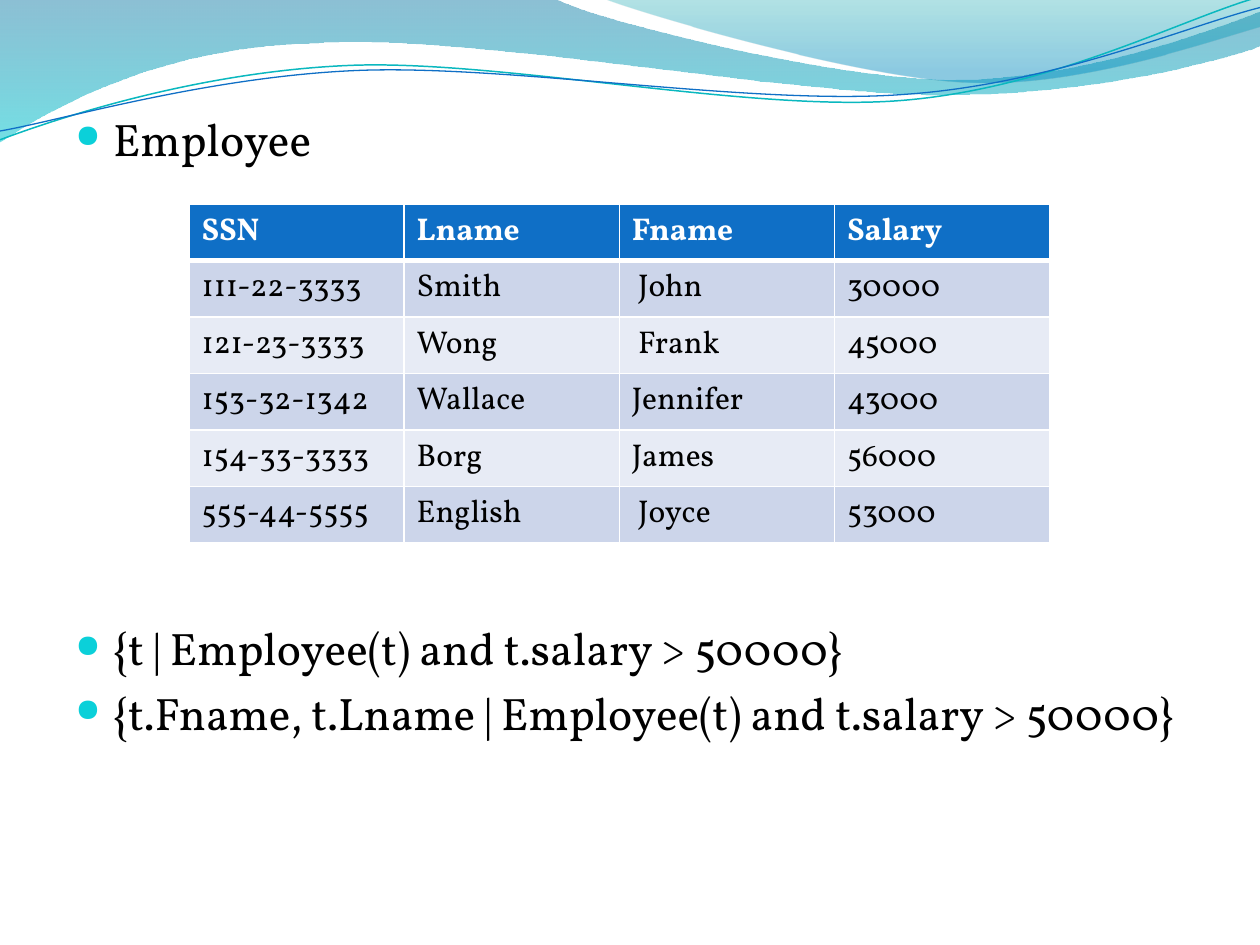
import pptx
import pptx.util
import pptx.dml.color
import pptx.oxml
import pptx.oxml.ns
import lxml.etree

Inches = pptx.util.Inches
Pt = pptx.util.Pt
qn = pptx.oxml.ns.qn

FONT = "Vollkorn"
COLORS = {
    "text": "000000", "white": "FFFFFF", "bullet": "0BD0D9",
    "header": "0F6FC6", "odd": "CCD5EA", "even": "E7EBF5",
    "teal_line": "0AB8BF", "blue_line": "0F6FC6",
    "wave_top": "0074A1", "wave_bottom": "00C6CF",
    "crest_top": "00A1A9", "crest_bottom": "008BBF",
}
WAVE = [
    (0, 0), [(4.4, -0.01)],
    [(4.76, 0.17), (6.64, 0.63), (7.58, 0.63)],
    [(8.53, 0.63), (9.58, 0.26), (10, 0.09)],
    [(10.01, 0.36)],
    [(9.83, 0.44), (8.7, 0.76), (7.46, 0.75)],
    [(6.22, 0.75), (3.82, 0.28), (2.57, 0.34)],
    [(1.29, 0.36), (0.46, 0.83), (-0.01, 1.13)],
]
CREST = [
    (4.79, -0.01),
    [(5.09, 0.11), (6.82, 0.62), (7.69, 0.65)],
    [(8.56, 0.69), (9.61, 0.32), (10, 0.21)],
    [(10, 0)],
]
TEAL_LINE = [
    (0, 1.11),
    [(0.48, 0.93), (1.58, 0.57), (2.77, 0.52)],
    [(3.95, 0.47), (5.93, 0.89), (7.13, 0.8)],
    [(8.33, 0.71), (9.38, 0.15), (9.98, -0.02)],
]
BLUE_LINE = [
    (0, 1.04),
    [(0.47, 0.96), (1.64, 0.61), (2.83, 0.56)],
    [(4.03, 0.51), (5.97, 0.84), (7.17, 0.75)],
    [(8.36, 0.67), (9.41, 0.21), (10, 0.06)],
]
EMPLOYEES = [
    ("SSN", "Lname", "Fname", "Salary"),
    ("111-22-3333", "Smith", " John", "30000"),
    ("121-23-3333", "Wong", " Frank", "45000"),
    ("153-32-1342", "Wallace", "Jennifer", "43000"),
    ("154-33-3333", "Borg", "James", "56000"),
    ("555-44-5555", "English", " Joyce", "53000"),
]
BULLETS = [
    ("Employee", 0),
    ("{t | Employee(t) and t.salary > 50000}", 260),
    ("{t.Fname, t.Lname | Employee(t) and t.salary > 50000}", 5.6),
]


def rgb(name):
    """Return the named colour."""
    return pptx.dml.color.RGBColor.from_string(COLORS[name])


def add_curve(slide, outline, close):
    """Add a freeform whose three-point segments are Bezier curves."""
    start, *segments = outline
    builder = slide.shapes.build_freeform(Inches(start[0]), Inches(start[1]))
    points = [(Inches(x), Inches(y)) for seg in segments for x, y in seg]
    builder.add_line_segments(points, close=close)
    sp = builder.convert_to_shape()
    sp.shadow.inherit = False
    lines = iter(list(sp._element.iter(qn("a:lnTo"))))
    for segment in segments:
        steps = [next(lines) for _ in segment]
        if len(steps) == 3:
            curve = lxml.etree.Element(qn("a:cubicBezTo"))
            steps[0].addprevious(curve)
            for step in steps:
                curve.append(step[0])
                step.getparent().remove(step)
    return sp


def add_wave(slide, outline, stops):
    """Add a filled wave with a translucent vertical gradient."""
    sp = add_curve(slide, outline, True)
    sp.line.fill.background()
    sp.fill.gradient()
    sp.fill.gradient_angle = 270
    for stop, (position, color, _) in zip(sp.fill.gradient_stops, stops):
        stop.position = position
        stop.color.rgb = rgb(color)
    for clr, (_, _, opacity) in zip(sp._element.spPr.iter(qn("a:srgbClr")), stops):
        lxml.etree.SubElement(clr, qn("a:alpha"), val=str(opacity * 1000))


def add_wave_line(slide, outline, color, width):
    """Add an open curved line."""
    sp = add_curve(slide, outline, False)
    sp.fill.background()
    sp.line.color.rgb = rgb(color)
    sp.line.width = Pt(width)


def add_run(p, text, size, color, bold=False):
    """Add one formatted run to a paragraph."""
    r = p.add_run()
    r.text = text
    r.font.name = FONT
    r.font.size = Pt(size)
    r.font.bold = bold
    r.font.color.rgb = rgb(color)


def set_bullet(p):
    """Give a paragraph a hanging round bullet."""
    pPr = p._p.get_or_add_pPr()
    pPr.set("marL", str(Inches(0.3)))
    pPr.set("indent", str(-Inches(0.3)))
    clr = lxml.etree.SubElement(pPr, qn("a:buClr"))
    lxml.etree.SubElement(clr, qn("a:srgbClr"), val=COLORS["bullet"])
    lxml.etree.SubElement(pPr, qn("a:buSzPct"), val="70000")
    lxml.etree.SubElement(pPr, qn("a:buChar"), char="●")


def add_bullets(slide, bullets):
    """Add the body text."""
    tf = slide.shapes.add_textbox(Inches(0.5), Inches(0.83), Inches(9), Inches(6.08)).text_frame
    tf.word_wrap = True
    for i, (text, gap) in enumerate(bullets):
        p = tf.add_paragraph() if i else tf.paragraphs[0]
        p.space_before = Pt(gap)
        set_bullet(p)
        add_run(p, text, 26, "text")


def set_borders(cell, top, bottom):
    """Draw white borders around a cell."""
    tcPr = cell._tc.get_or_add_tcPr()
    widths = {"L": 1, "R": 1, "T": top, "B": bottom}
    for i, (side, width) in enumerate(widths.items()):
        ln = lxml.etree.Element(qn(f"a:ln{side}"), w=str(Pt(width)))
        fill = lxml.etree.SubElement(ln, qn("a:solidFill"))
        lxml.etree.SubElement(fill, qn("a:srgbClr"), val=COLORS["white"])
        tcPr.insert(i, ln)


def add_employee_table(slide, rows):
    """Add the table with a header and alternating row fills."""
    frame = slide.shapes.add_table(len(rows), len(rows[0]), Inches(1.5), Inches(1.62),
                                   Inches(6.83), Inches(2.69))
    for i, row in enumerate(rows):
        header = i == 0
        fill = "header" if header else ("odd" if i % 2 else "even")
        for j, text in enumerate(row):
            cell = frame.table.cell(i, j)
            cell.fill.solid()
            cell.fill.fore_color.rgb = rgb(fill)
            set_borders(cell, 3 if i == 1 else 1, 3 if header else 1)
            add_run(cell.text_frame.paragraphs[0], text, 18,
                    "white" if header else "text", header)


def main():
    """Build the slide and save it."""
    prs = pptx.Presentation()
    prs.slide_width, prs.slide_height = Inches(10), Inches(7.5)
    slide = prs.slides.add_slide(prs.slide_layouts[6])
    add_wave(slide, WAVE, [(0, "wave_top", 45), (1, "wave_bottom", 55)])
    add_wave(slide, CREST, [(0, "crest_top", 30), (0.8, "crest_bottom", 45)])
    add_wave_line(slide, TEAL_LINE, "teal_line", 0.85)
    add_wave_line(slide, BLUE_LINE, "blue_line", 0.75)
    add_bullets(slide, BULLETS)
    add_employee_table(slide, EMPLOYEES)
    prs.save("out.pptx")


main()
